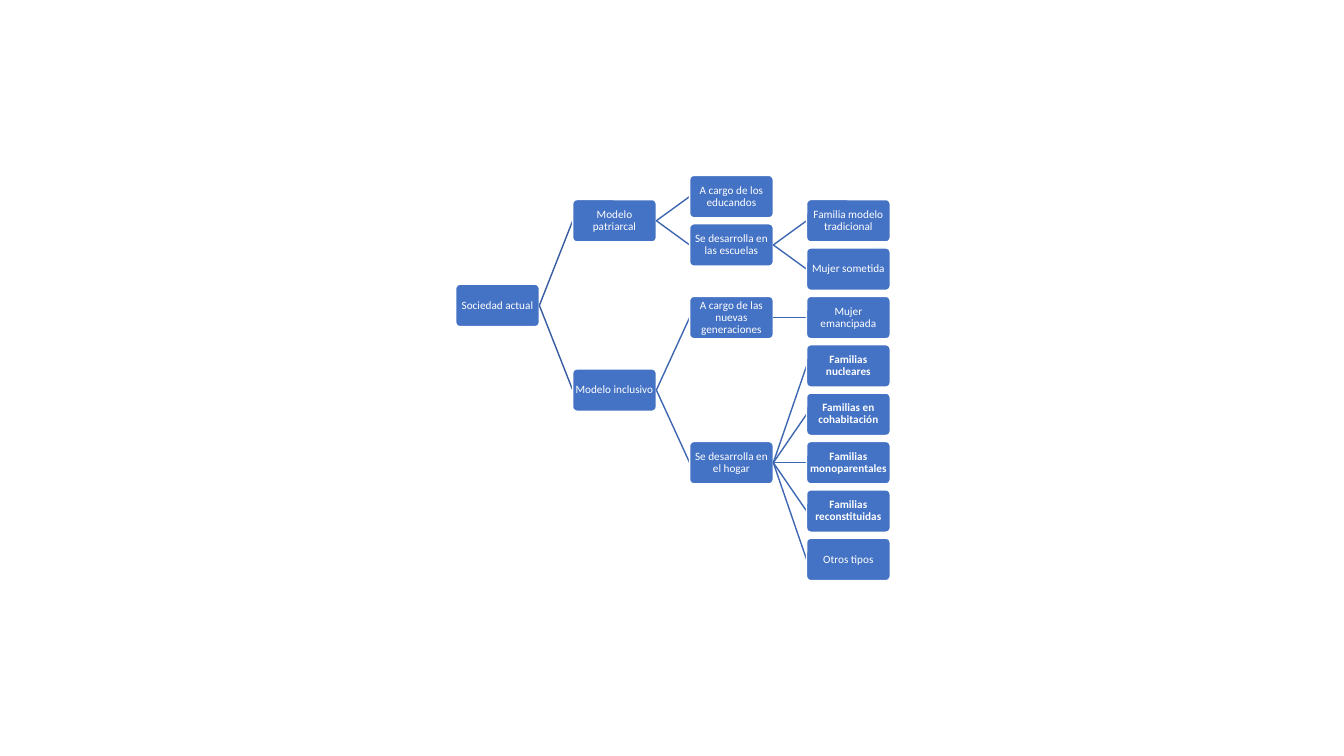
from dataclasses import dataclass

from lxml import etree
from pptx import Presentation
from pptx.dml.color import RGBColor
from pptx.enum.shapes import MSO_CONNECTOR, MSO_SHAPE
from pptx.enum.text import MSO_ANCHOR, PP_ALIGN
from pptx.oxml.ns import qn
from pptx.util import Inches, Pt

ROUNDED = MSO_SHAPE.ROUNDED_RECTANGLE
STRAIGHT = MSO_CONNECTOR.STRAIGHT
MIDDLE = MSO_ANCHOR.MIDDLE
CENTER = PP_ALIGN.CENTER
BLANK_LAYOUT = 6
LEFT_SITE, RIGHT_SITE = 1, 3

LEFT, COLUMN_PITCH = 4.52, 1.16
FIRST_ROW, ROW_PITCH = 2.19, 0.48
BOX_W, BOX_H = 0.83, 0.42
INSET = 0.01


@dataclass(frozen=True)
class Theme:
    font: str = "Calibri"
    size: Pt = Pt(8)
    line_width: Pt = Pt(1)
    box: RGBColor = RGBColor(0x44, 0x72, 0xC4)
    white: RGBColor = RGBColor(0xFF, 0xFF, 0xFF)
    main_branch: RGBColor = RGBColor(0x36, 0x5B, 0x9D)
    branch: RGBColor = RGBColor(0x3E, 0x67, 0xB2)


@dataclass(frozen=True)
class Node:
    text: str
    children: tuple = ()
    row: float = 0
    bold: bool = False

    def center(self):
        if not self.children:
            return FIRST_ROW + self.row * ROW_PITCH
        return (self.children[0].center() + self.children[-1].center()) / 2


THEME = Theme()

TREE = Node("Sociedad actual", (
    Node("Modelo patriarcal", (
        Node("A cargo de los educandos", row=-0.5),
        Node("Se desarrolla en las escuelas", (
            Node("Familia modelo tradicional", row=0),
            Node("Mujer sometida", row=1),
        )),
    )),
    Node("Modelo inclusivo", (
        Node("A cargo de las nuevas generaciones", (
            Node("Mujer emancipada", row=2),
        )),
        Node("Se desarrolla en el hogar", (
            Node("Familias nucleares", row=3, bold=True),
            Node("Familias en cohabitación", row=4, bold=True),
            Node("Familias monoparentales", row=5, bold=True),
            Node("Familias reconstituidas", row=6, bold=True),
            Node("Otros tipos", row=7),
        )),
    )),
))


def column_left(level):
    return LEFT + level * COLUMN_PITCH


def add_box(s, node, level):
    sp = s.shapes.add_shape(ROUNDED, Inches(column_left(level)),
                            Inches(node.center() - BOX_H / 2),
                            Inches(BOX_W), Inches(BOX_H))
    sp.adjustments[0] = 0.1
    sp.shadow.inherit = False
    sp.fill.solid()
    sp.fill.fore_color.rgb = THEME.box
    sp.line.color.rgb = THEME.white
    sp.line.width = THEME.line_width
    tf = sp.text_frame
    tf.word_wrap = True
    tf.vertical_anchor = MIDDLE
    tf.margin_left = tf.margin_right = Inches(INSET)
    tf.margin_top = tf.margin_bottom = Inches(INSET)
    tf.text = node.text
    p = tf.paragraphs[0]
    p.alignment = CENTER
    p.line_spacing = 0.9
    font = p.runs[0].font
    font.name = THEME.font
    font.size = THEME.size
    font.bold = node.bold
    font.color.rgb = THEME.white
    return sp


def add_branch(s, parent, child, level):
    line = s.shapes.add_connector(
        STRAIGHT, Inches(column_left(level) + BOX_W), Inches(parent.center()),
        Inches(column_left(level + 1)), Inches(child.center()))
    line.line.color.rgb = THEME.branch if level else THEME.main_branch
    line.line.width = THEME.line_width
    etree.SubElement(line._element.spPr, qn("a:effectLst"))
    return line


def add_tree(s, node, level=0):
    box = add_box(s, node, level)
    for child in node.children:
        line = add_branch(s, node, child, level)
        child_box = add_tree(s, child, level + 1)
        line.begin_connect(box, RIGHT_SITE)
        line.end_connect(child_box, LEFT_SITE)
    return box


def main():
    prs = Presentation()
    prs.slide_width = Inches(13.33)
    prs.slide_height = Inches(7.5)
    s = prs.slides.add_slide(prs.slide_layouts[BLANK_LAYOUT])
    add_tree(s, TREE)
    prs.save("out.pptx")


main()
